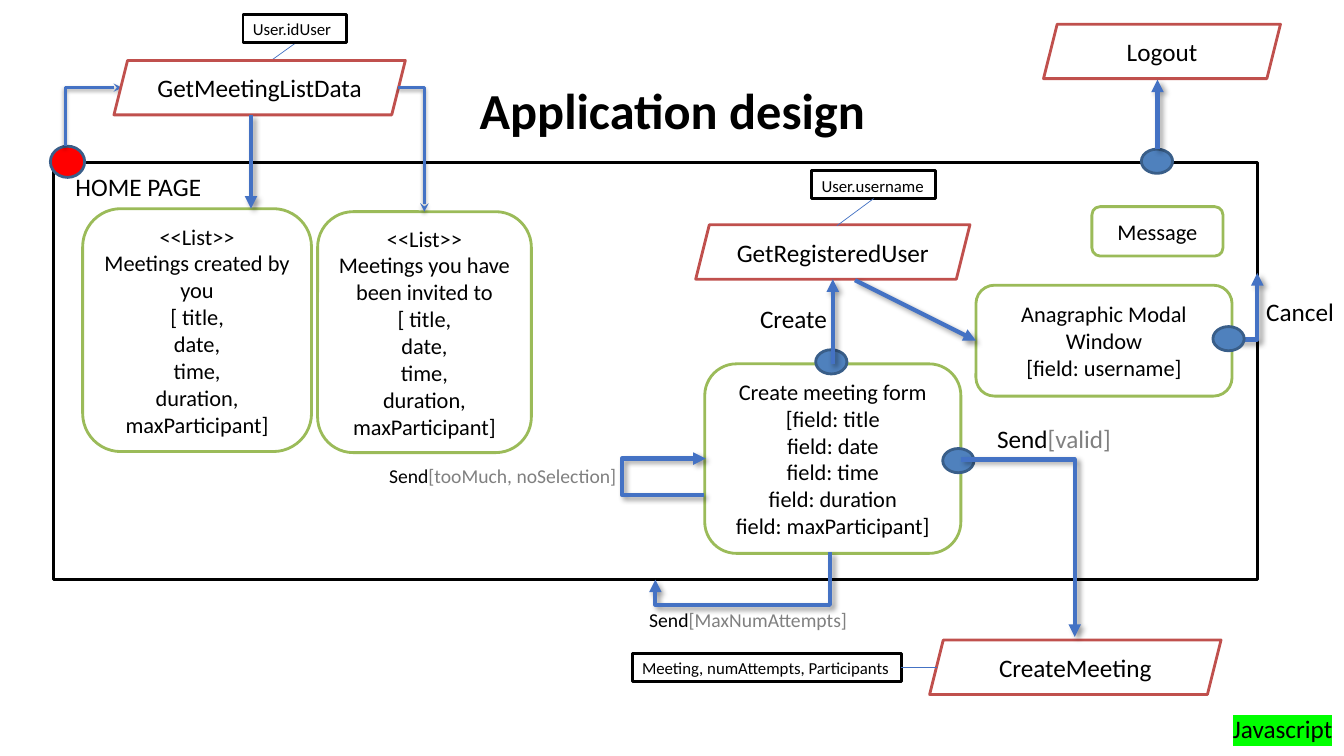
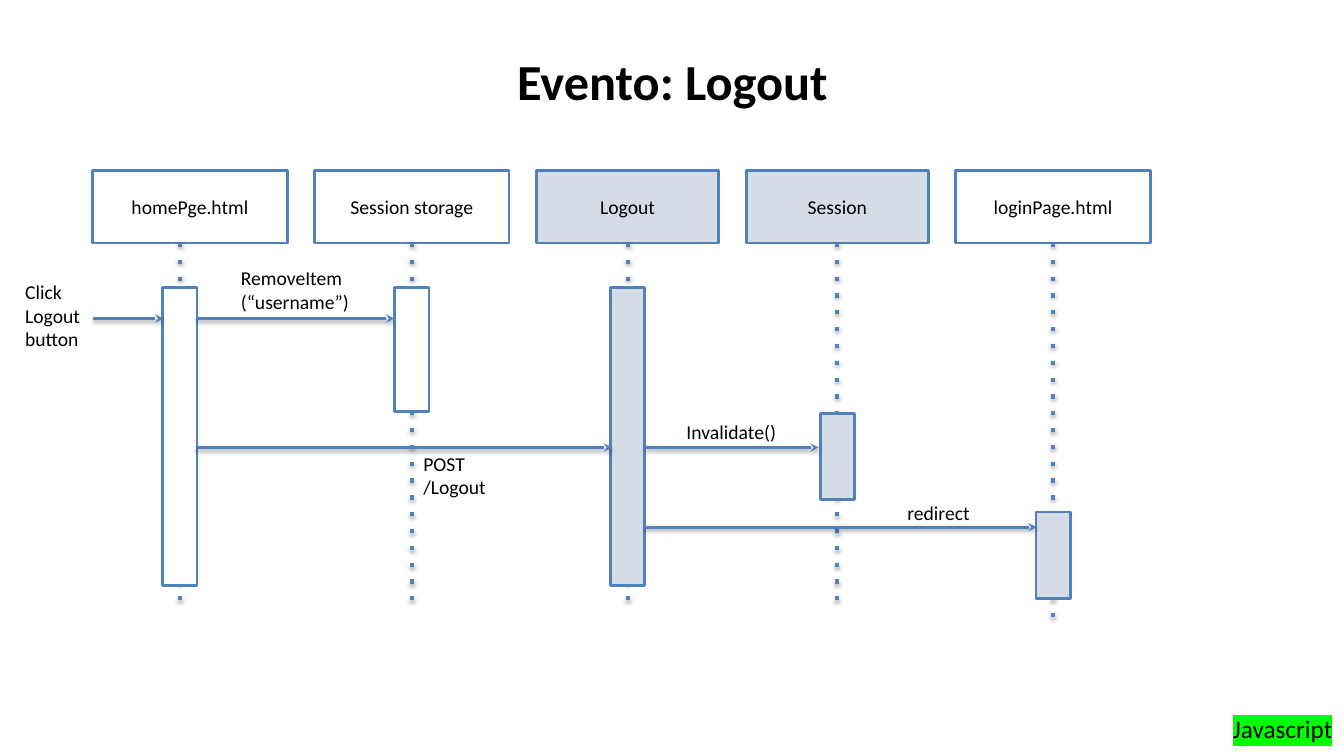
from dataclasses import dataclass
from typing import NamedTuple

from lxml.etree import SubElement
from pptx import Presentation
from pptx.dml.color import RGBColor
from pptx.enum.shapes import MSO_CONNECTOR as Connector, MSO_SHAPE as Preset
from pptx.enum.text import MSO_ANCHOR as Anchor, MSO_AUTO_SIZE as AutoSize, PP_ALIGN as Align
from pptx.oxml.ns import qn
from pptx.util import Inches, Pt

FONT = "Calibri"
BLACK, WHITE, GREY = "000000", "FFFFFF", "808080"
GREEN, RED, HIGHLIGHT = "9BBB59", "C0504D", "00FF00"
FLOW_BLUE, BLUE, OVAL_EDGE, PALE = "4472C4", "4F81BD", "395E89", "D6DCE5"
START_RED = "FF0000"


class Box(NamedTuple):
    left: float
    top: float
    width: float
    height: float


class Point(NamedTuple):
    x: float
    y: float


class Shadow(NamedTuple):
    alpha: int
    blur: float
    distance: float
    angle: int


class LineStyle(NamedTuple):
    color: str
    width: float
    shadow: Shadow | None = None
    head: str | None = None
    dash: str | None = None


class ShapeStyle(NamedTuple):
    preset: int
    edge: str
    fill: str | None = WHITE
    size: int = 16
    align: int = Align.CENTER
    anchor: int = Anchor.MIDDLE
    weight: float = 2


@dataclass
class Label:
    text: str
    box: Box
    size: int = 14
    guard: str = ""


@dataclass
class Participant:
    name: str
    width: float
    fill: str
    bar_top: float
    bar_height: float
    line_end: float = 6.02
    line_shift: float = 0


SOFT = Shadow(38, 3.1, 1.6, 90)
DEEP = Shadow(40, 4, 3, 45)
FLOW = LineStyle(FLOW_BLUE, 3, DEEP, "triangle")
LOAD = LineStyle(FLOW_BLUE, 2, SOFT, "stealth")
NOTE_LINK = LineStyle(FLOW_BLUE, 0.5)
MESSAGE = LineStyle(BLUE, 2, SOFT, "stealth")
LIFELINE = LineStyle(BLUE, 3, Shadow(35, 3.1, 1.8, 90), dash="dot")

FRAME = ShapeStyle(Preset.RECTANGLE, BLACK, None, weight=2.25)
COMPONENT = ShapeStyle(Preset.ROUNDED_RECTANGLE, GREEN)
ACTION = ShapeStyle(Preset.PARALLELOGRAM, RED, size=18)
NOTE = ShapeStyle(Preset.RECTANGLE, BLACK, size=12, align=Align.LEFT, anchor=Anchor.TOP)
EVENT = ShapeStyle(Preset.OVAL, OVAL_EDGE, BLUE)
START = EVENT._replace(fill=START_RED)


def rgb(color: str) -> RGBColor:
    return RGBColor.from_string(color)


def format_run(run, size: float, color: str = BLACK, bold: bool = False):
    run.font.name, run.font.size, run.font.bold = FONT, Pt(size), bold
    run.font.color.rgb = rgb(color)


def add_block(slide, style: ShapeStyle, box: Box, text: str = ""):
    shape = slide.shapes.add_shape(style.preset, *map(Inches, box))
    shape.shadow.inherit = False
    if style.fill:
        shape.fill.solid()
        shape.fill.fore_color.rgb = rgb(style.fill)
    else:
        shape.fill.background()
    shape.line.color.rgb = rgb(style.edge)
    shape.line.width = Pt(style.weight)
    if text:
        frame = shape.text_frame
        frame.text = text
        frame.word_wrap = True
        frame.vertical_anchor = style.anchor
        for paragraph in frame.paragraphs:
            paragraph.alignment = style.align
            format_run(paragraph.runs[0], style.size)
    return shape


def add_label(slide, label: Label, wrap: bool = True):
    shape = slide.shapes.add_textbox(*map(Inches, label.box))
    frame = shape.text_frame
    frame.text = label.text
    frame.word_wrap = wrap
    frame.auto_size = AutoSize.SHAPE_TO_FIT_TEXT
    for paragraph in frame.paragraphs:
        format_run(paragraph.runs[0], label.size)
    if label.guard:
        run = frame.paragraphs[-1].add_run()
        run.text = label.guard
        format_run(run, label.size, GREY)
    return shape


def style_line(connector, style: LineStyle):
    connector.line.color.rgb = rgb(style.color)
    connector.line.width = Pt(style.width)
    properties = connector._element.spPr
    line = properties.find(qn("a:ln"))
    if style.dash:
        SubElement(line, qn("a:prstDash"), val=style.dash)
    if style.head:
        SubElement(line, qn("a:tailEnd"), type=style.head)
    effects = SubElement(properties, qn("a:effectLst"))
    if style.shadow:
        shadow = SubElement(
            effects, qn("a:outerShdw"),
            blurRad=str(Pt(style.shadow.blur)), dist=str(Pt(style.shadow.distance)),
            dir=str(style.shadow.angle * 60000), rotWithShape="0")
        color = SubElement(shadow, qn("a:srgbClr"), val=BLACK)
        SubElement(color, qn("a:alpha"), val=str(style.shadow.alpha * 1000))


def add_line(slide, style: LineStyle, begin: Point, end: Point):
    connector = slide.shapes.add_connector(Connector.STRAIGHT, *map(Inches, (*begin, *end)))
    style_line(connector, style)
    return connector


def add_elbow(slide, style: LineStyle, *route: Point):
    """Draw a right-angled connector through three or four points."""
    begin, end = route[0], route[-1]
    starts_upright = begin.x == route[1].x
    local_begin, local_end = begin, end
    if starts_upright:
        center = Point((begin.x + end.x) / 2, (begin.y + end.y) / 2)
        local_begin, local_end = (
            Point(center.x + point.y - center.y, center.y - point.x + center.x)
            for point in (begin, end))
    connector = slide.shapes.add_connector(
        Connector.ELBOW, *map(Inches, (*local_begin, *local_end)))
    properties = connector._element.spPr
    if starts_upright:
        properties.find(qn("a:xfrm")).set("rot", str(90 * 60000))
    geometry = properties.find(qn("a:prstGeom"))
    if len(route) == 3:
        geometry.set("prst", "bentConnector2")
    else:
        axis = 1 if starts_upright else 0
        share = (route[1][axis] - begin[axis]) / (end[axis] - begin[axis])
        SubElement(geometry.find(qn("a:avLst")), qn("a:gd"),
                   name="adj1", fmla=f"val {round(share * 100000)}")
    style_line(connector, style)


def add_titled_slide(presentation, title: str, top: float):
    """Add a slide with the shared title style and language tag."""
    slide = presentation.slides.add_slide(presentation.slide_layouts[5])
    shape = slide.shapes.title
    shape.left, shape.top, shape.width, shape.height = map(Inches, (0.92, top, 11.5, 1.45))
    shape.text_frame.text = title
    shape.text_frame.vertical_anchor = Anchor.MIDDLE
    paragraph = shape.text_frame.paragraphs[0]
    paragraph.alignment = Align.CENTER
    paragraph.line_spacing = 0.9
    format_run(paragraph.runs[0], 36, bold=True)

    tag = add_label(slide, Label("Javascript", Box(12.13, 7.03, 1.2, 0.4), 18), wrap=False)
    run_properties = tag.text_frame.paragraphs[0].runs[0]._r.rPr
    highlight = SubElement(run_properties, qn("a:highlight"))
    SubElement(highlight, qn("a:srgbClr"), val=HIGHLIGHT)
    run_properties.find(qn("a:solidFill")).addnext(highlight)
    return slide


def build_application_design(presentation):
    slide = add_titled_slide(presentation, "Application design", 0.4)
    add_block(slide, FRAME, Box(0.53, 1.61, 11.94, 4.14))
    meeting_fields = "[ title,\ndate,\ntime,\nduration,\nmaxParticipant]"
    for box, heading in (
        (Box(0.82, 2.07, 2.27, 2.41), "Meetings created by you"),
        (Box(3.15, 2.1, 2.12, 2.39), "Meetings you have been invited to"),
    ):
        add_block(slide, COMPONENT, box, f"<<List>>\n{heading}\n{meeting_fields}")
    form = add_block(
        slide, COMPONENT, Box(6.99, 3.61, 2.54, 1.88),
        "Create meeting form\n[field: title\nfield: date\nfield: time\n"
        "field: duration\nfield: maxParticipant]")
    add_block(slide, COMPONENT, Box(10.83, 2.05, 1.3, 0.49), "Message")
    modal = add_block(slide, COMPONENT, Box(9.68, 2.83, 2.54, 1.1),
                      "Anagraphic Modal Window\n[field: username]")

    add_block(slide, START, Box(0.5, 1.45, 0.34, 0.31))
    for left, top in ((11.32, 1.48), (8.09, 3.47), (9.35, 4.45)):
        add_block(slide, EVENT, Box(left, top, 0.31, 0.24))

    add_elbow(slide, LOAD, Point(0.65, 1.45), Point(0.65, 0.87), Point(1.21, 0.87))
    add_line(slide, NOTE_LINK, Point(3.15, 0.27), Point(2.69, 0.6))
    for left, top, width, name in (
        (1.13, 0.6, 2.89, "GetMeetingListData"),
        (10.35, 0.24, 2.35, "Logout"),
        (6.9, 2.23, 2.72, "GetRegisteredUser"),
        (9.22, 6.35, 2.89, "CreateMeeting"),
    ):
        add_block(slide, ACTION, Box(left, top, width, 0.54), name)
    _, username_note, meeting_note = [
        add_block(slide, NOTE, Box(left, top, width, 0.28), text)
        for left, top, width, text in (
            (2.41, 0.14, 1.03, "User.idUser"),
            (8.05, 1.69, 1.23, "User.username"),
            (6.27, 6.48, 2.67, "Meeting, numAttempts, Participants"),
        )
    ]
    add_line(slide, NOTE_LINK, Point(8.67, 1.97), Point(8.3, 2.24)).begin_connect(username_note, 2)
    add_line(slide, NOTE_LINK, Point(9.29, 6.62), Point(8.94, 6.62)).end_connect(meeting_note, 3)

    add_line(slide, FLOW, Point(2.49, 1.14), Point(2.49, 2.07))
    add_line(slide, FLOW, Point(11.48, 1.48), Point(11.48, 0.79))
    add_line(slide, FLOW, Point(8.48, 2.78), Point(9.68, 3.38)).end_connect(modal, 1)
    add_line(slide, FLOW, Point(8.26, 3.61), Point(8.26, 2.77)).begin_connect(form, 0)
    add_elbow(slide, LOAD, Point(3.95, 0.87), Point(4.21, 0.87), Point(4.21, 2.1))
    for route in (
        (Point(12.22, 3.37), Point(12.47, 3.37), Point(12.47, 2.71)),
        (Point(9.53, 4.56), Point(10.66, 4.56), Point(10.66, 6.32)),
        (Point(8.23, 5.48), Point(8.23, 6), Point(6.5, 6), Point(6.5, 5.75)),
        (Point(6.98, 4.91), Point(6.17, 4.91), Point(6.17, 4.55), Point(7, 4.55)),
    ):
        add_elbow(slide, FLOW, *route)
    add_block(slide, EVENT, Box(12.03, 3.24, 0.31, 0.24))

    for label in (
        Label("HOME PAGE", Box(0.65, 1.65, 1.6, 0.4), 18),
        Label("Create", Box(7.44, 2.96, 0.87, 0.4), 18),
        Label("Cancel", Box(12.46, 2.89, 0.95, 0.4), 18),
        Label("Send", Box(9.79, 4.15, 1.45, 0.4), 18, "[valid]"),
        Label("Send", Box(6.34, 5.98, 2.78, 0.34), guard="[MaxNumAttempts]"),
        Label("Send", Box(3.76, 4.55, 2.52, 0.34), guard="[tooMuch, noSelection]"),
    ):
        add_label(slide, label)


def build_logout_event(presentation):
    slide = add_titled_slide(presentation, "Evento: Logout", 0.11)
    left, top, height, gap, bar_width = 0.92, 1.69, 0.72, 0.27, 0.34
    for participant in (
        Participant("homePge.html", 1.93, WHITE, 2.85, 2.96, line_shift=-0.1),
        Participant("Session storage", 1.93, WHITE, 2.85, 1.23),
        Participant("Logout", 1.81, PALE, 2.85, 2.96),
        Participant("Session", 1.81, PALE, 4.1, 0.86),
        Participant("loginPage.html", 1.93, WHITE, 5.08, 0.86, 6.18),
    ):
        style = ShapeStyle(Preset.RECTANGLE, BLUE, participant.fill, 14)
        header = add_block(slide, style, Box(left, top, participant.width, height),
                           participant.name)
        center = left + participant.width / 2 + participant.line_shift
        lifeline = add_line(slide, LIFELINE, Point(center, top + height),
                            Point(center, participant.line_end))
        if not participant.line_shift:
            lifeline.begin_connect(header, 2)
        bar_fill = PALE if participant.name == "loginPage.html" else participant.fill
        add_block(slide, style._replace(fill=bar_fill),
                  Box(center - bar_width / 2, participant.bar_top, bar_width,
                      participant.bar_height))
        left += participant.width + gap

    for start, end, y in (
        (0.92, 1.62, 3.16), (1.95, 3.91, 3.16), (1.95, 6.07, 4.44),
        (6.4, 8.12, 4.44), (6.4, 10.28, 5.23),
    ):
        add_line(slide, MESSAGE, Point(start, y), Point(end, y))
    for label in (
        Label("Click\nLogout\nbutton", Box(0.15, 2.73, 0.82, 0.81)),
        Label("RemoveItem\n(“username”)", Box(2.29, 2.59, 1.29, 0.57)),
        Label("POST\n/Logout", Box(4.1, 4.43, 1.29, 0.57)),
        Label("Invalidate()", Box(6.71, 4.12, 1.29, 0.34)),
        Label("redirect", Box(8.9, 4.92, 1.29, 0.34)),
    ):
        add_label(slide, label)


def main():
    presentation = Presentation()
    presentation.slide_width, presentation.slide_height = Inches(13.33), Inches(7.5)
    build_application_design(presentation)
    build_logout_event(presentation)
    presentation.save("out.pptx")


if __name__ == "__main__":
    main()
